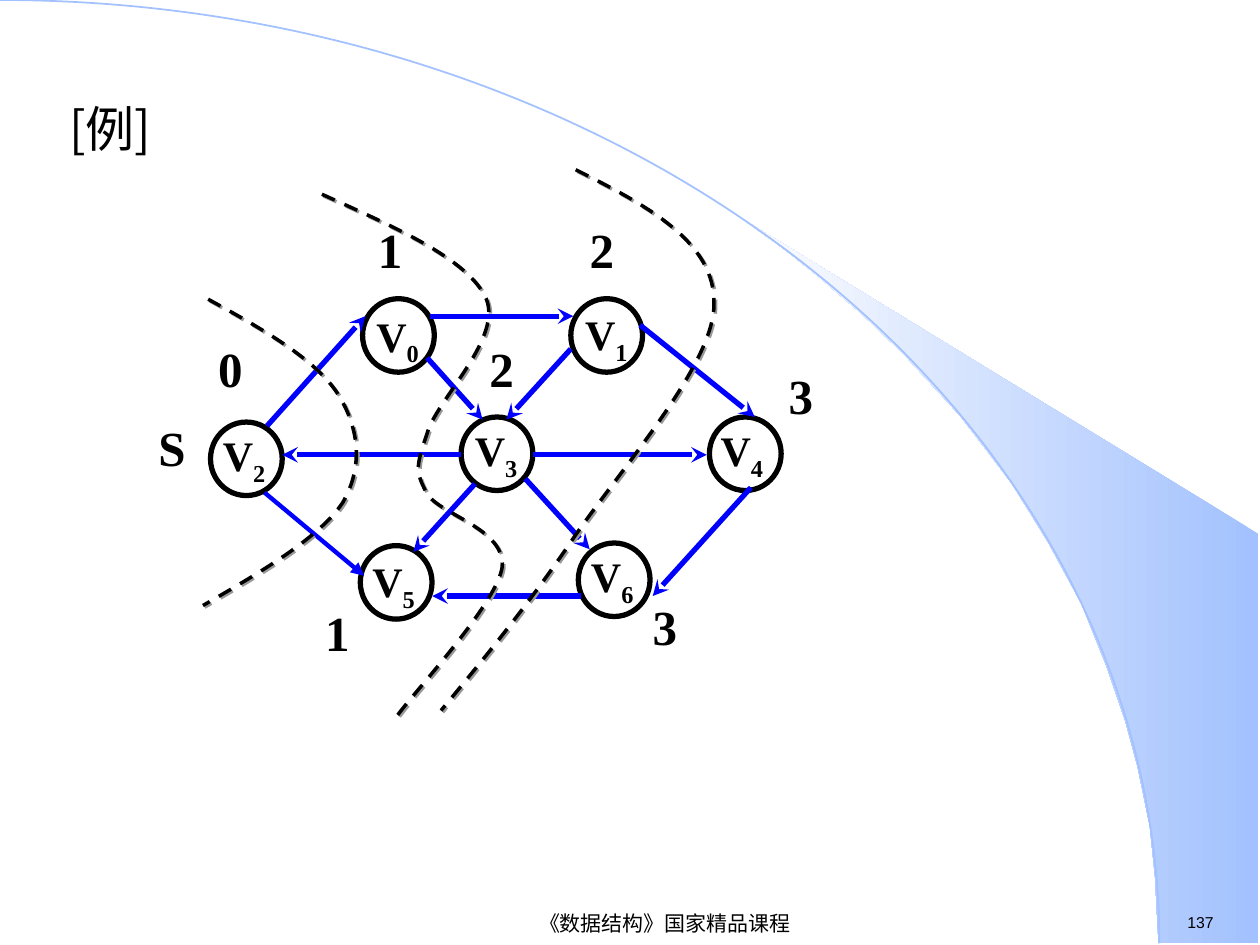
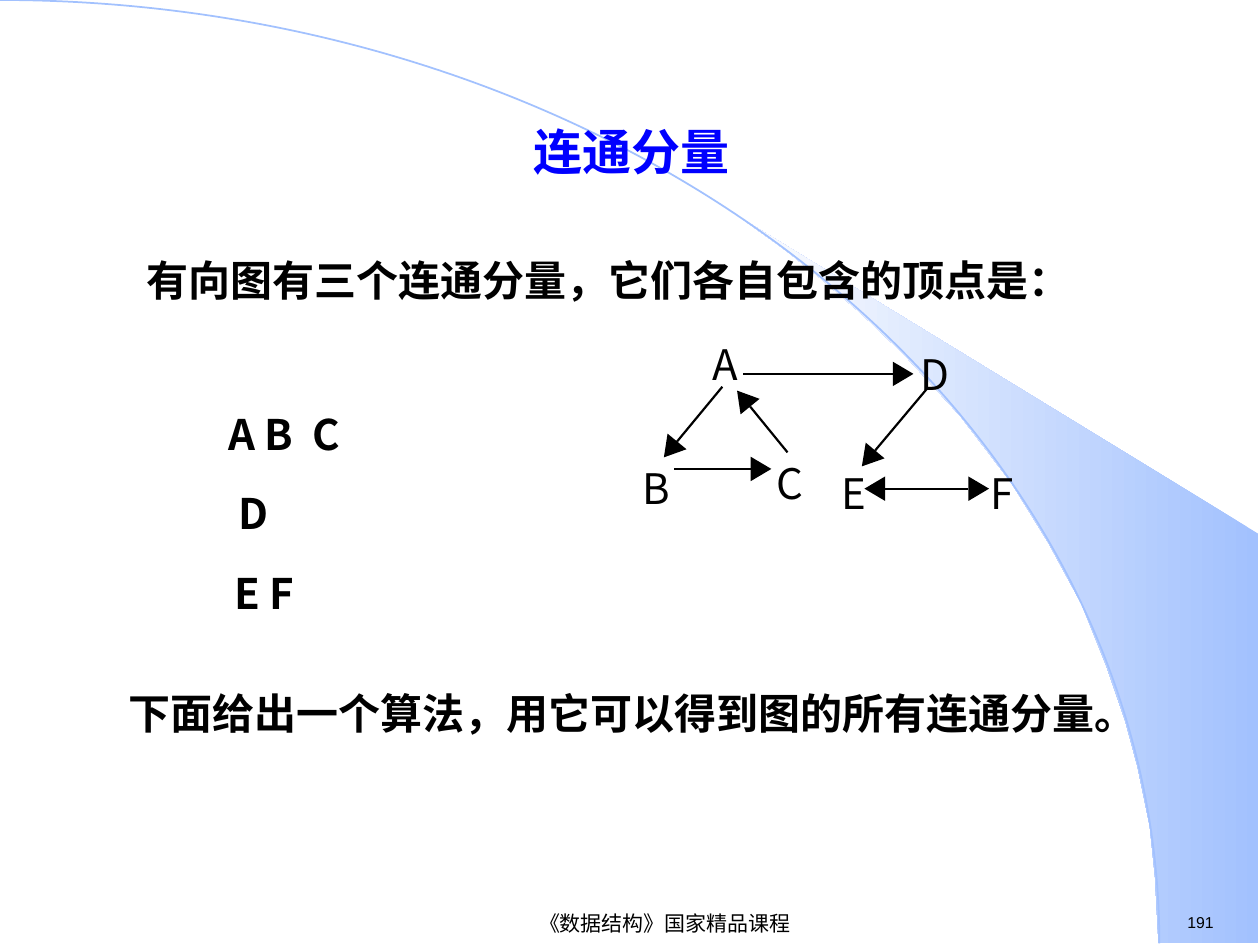
import math

import pptx
import pptx.dml.color
import pptx.enum.dml
import pptx.enum.shapes
import pptx.enum.text
import pptx.oxml.ns
import pptx.util
from lxml import etree

Pt = pptx.util.Pt
RGB = pptx.dml.color.RGBColor.from_string
ALIGN = pptx.enum.text.PP_ALIGN
ANCHOR = pptx.enum.text.MSO_ANCHOR
SHAPE = pptx.enum.shapes.MSO_SHAPE
qn = pptx.oxml.ns.qn

COLORS = {"ink": "000000", "blue": "0000FF", "sky": "A2C1FE",
          "pale": "FEFEFE", "shadow": "999999"}
CJK, TIMES, ARIAL = "Noto Sans CJK SC", "Times New Roman", "Arial"


def write(sp, text, size, font=CJK, bold=False, color="ink",
          align=ALIGN.LEFT, anchor=ANCHOR.TOP, sub=""):
    """Fill a shape with one line of text, with an optional subscript."""
    tf = sp.text_frame
    tf.auto_size = pptx.enum.text.MSO_AUTO_SIZE.NONE
    tf.word_wrap = True
    tf.margin_left = tf.margin_right = tf.margin_top = tf.margin_bottom = 0
    tf.vertical_anchor = anchor
    p = tf.paragraphs[0]
    p.alignment = align
    for part in filter(None, (text, sub)):
        r = p.add_run()
        r.text = part
        r.font.size = Pt(size)
        r.font.bold = bold
        r.font.name = font
        r.font.color.rgb = RGB(COLORS[color])
        rpr = r.font._element
        etree.SubElement(rpr, qn("a:ea")).set("typeface", CJK)
        if part is sub:
            rpr.set("baseline", "-25000")


def outline(slide, points, curved=False):
    """Add a closed polygon, or an open curve of cubic Bezier triples."""
    emu = [(Pt(x), Pt(y)) for x, y in points]
    fb = slide.shapes.build_freeform(*emu[0], scale=1.0)
    fb.add_line_segments(emu[1:], close=not curved)
    sp = fb.convert_to_shape()
    sp.shadow.inherit = False
    if not curved:
        sp.line.fill.background()
        return sp
    sp.fill.background()
    segments = list(sp.element.iter(qn("a:lnTo")))
    for i in range(0, len(segments), 3):
        first, *others = segments[i:i + 3]
        first.tag = qn("a:cubicBezTo")
        for segment in others:
            first.append(segment[0])
            segment.getparent().remove(segment)
    return sp


prs = pptx.Presentation()
prs.slide_width, prs.slide_height = Pt(720), Pt(540)
layout = prs.slide_layouts[5]
graph, parts = [prs.slides.add_slide(layout) for _ in range(2)]

# Shared backdrop and footer, moved to the layout
wedge = outline(graph, [
    (662, 539), (719, 539), (719, 305), (424, 125), (449, 143), (470, 160),
    (493, 180), (516, 202), (549, 238), (578, 276), (599, 310), (618, 345),
    (632, 380), (643, 412), (650, 438), (657, 472), (660, 501)])
wedge.fill.gradient()
wedge.fill.gradient_angle = 180
for stop, name in zip(wedge.fill.gradient_stops, ("sky", "pale")):
    stop.color.rgb = RGB(COLORS[name])
arc = graph.shapes.add_shape(SHAPE.ARC, Pt(-662.5), 0, Pt(1325), Pt(1078))
arc.shadow.inherit = False
arc.fill.background()
arc.line.color.rgb = RGB(COLORS["sky"])
arc.line.width = Pt(1)
footer = graph.shapes.add_textbox(Pt(173), Pt(519), Pt(414), Pt(17))
write(footer, "《数据结构》国家精品课程", 12, ARIAL,
      align=ALIGN.CENTER, anchor=ANCHOR.MIDDLE)
for sp in (wedge, arc, footer):
    layout.shapes.element.append(sp.element)

# Titles and page numbers
for slide, number, title, box, style in (
        (graph, "137", "[例]", (39.5, 53, 300, 40), {}),
        (parts, "191", "连通分量", (63.5, 59, 595, 54),
         {"font": TIMES, "bold": True, "color": "blue",
          "align": ALIGN.CENTER})):
    sp = slide.shapes.title
    sp.left, sp.top, sp.width, sp.height = map(Pt, box)
    write(sp, title, 28, anchor=ANCHOR.MIDDLE, **style)
    sp = slide.shapes.add_textbox(Pt(678.5), Pt(521.5), Pt(40), Pt(14))
    write(sp, number, 9, ARIAL)

# Graph vertices: index, circle corner, label corner
for index, x, y, label_x, label_y in (
        ("0", 207.2, 170.7, 215, 177.2), ("1", 326.2, 170.7, 334.3, 176.4),
        ("2", 120.3, 241.2, 127.4, 245.5), ("3", 263.5, 238.3, 271.4, 242.6),
        ("4", 405.4, 238.3, 411.8, 242.6), ("5", 205.9, 311.8, 212.8, 317.5),
        ("6", 330.5, 310.3, 337.7, 314.6)):
    sp = graph.shapes.add_shape(SHAPE.OVAL, Pt(x), Pt(y), Pt(41), Pt(42))
    sp.shadow.inherit = False
    sp.fill.background()
    sp.line.color.rgb = RGB(COLORS["ink"])
    sp.line.width = Pt(3)
    sp = graph.shapes.add_textbox(Pt(label_x), Pt(label_y), Pt(40), Pt(36))
    write(sp, "V", 24, TIMES, bold=True, sub=index)

# Distances from the start vertex S
for label, x, y in (("1", 185.8, 344.2), ("1", 216, 125.3),
                    ("2", 337, 125.3), ("2", 279.7, 193.7),
                    ("3", 373, 340.6), ("3", 450.7, 208.8),
                    ("0", 124.6, 193.7), ("S", 90.5, 238.3)):
    sp = graph.shapes.add_textbox(Pt(x), Pt(y), Pt(30), Pt(34))
    write(sp, label, 28, TIMES, bold=True)

# Edges: x1, y1, x2, y2
EDGES = [
    (152.6, 243.4, 208.8, 180.7), (245.5, 180.7, 327.6, 180.7),
    (365.8, 185.8, 431.3, 238.3), (429.1, 278.6, 373, 340.6),
    (331.9, 340.6, 247, 340.6), (263.5, 259.9, 161.3, 259.9),
    (304.6, 259.9, 403.9, 259.9), (244.1, 204.5, 275.8, 239.8),
    (326.2, 199.4, 289.4, 239.8), (271.4, 276.5, 236.2, 315.4),
    (300.2, 273.6, 337, 313.9)]
lines = [(graph, edge, "blue", 3, "stealth") for edge in EDGES]
lines.append((graph, (151.2, 281.5, 208.1, 329), "blue", 2.5, "triangle"))

# Sentences, components and node letters
for text, x, y, w, bold in (
        ("有向图有三个连通分量，它们各自包含的顶点是：", 83.5, 145.4, 560, True),
        ("A B\tC", 130.4, 233.3, 100, True),
        ("D", 136.2, 278.7, 30, True),
        ("E F", 134, 324, 50, True),
        ("下面给出一个算法，用它可以得到图的所有连通分量。", 73.5, 393, 610, True),
        ("A", 407, 193.7, 30, False), ("B", 367, 264.3, 30, False),
        ("C", 443.5, 261.4, 30, False), ("D", 526.2, 199.4, 30, False),
        ("E", 481, 267.1, 30, False), ("F", 566, 267.1, 30, False)):
    sp = parts.shapes.add_textbox(Pt(x), Pt(y), Pt(w), Pt(29))
    if "\t" in text:
        pPr = sp.text_frame.paragraphs[0]._p.get_or_add_pPr()
        tabs = etree.SubElement(pPr, qn("a:tabLst"))
        etree.SubElement(tabs, qn("a:tab"), pos=str(Pt(48)), algn="l")
    write(sp, text, 24, bold=bold)

# Arrows of the component graph, with large solid heads
HEAD, HALF = 11.8, 7
for x1, y1, x2, y2, both in (
        (424.8, 213.7, 522, 213.7, False), (412.8, 221, 379.4, 261.4, False),
        (385.2, 268, 440.8, 268, False), (450, 258.5, 421.2, 223.2, False),
        (530, 221.8, 492.5, 266.5, False), (494, 279.3, 565.2, 279.3, True)):
    length = math.hypot(x2 - x1, y2 - y1)
    ux, uy = (x2 - x1) / length, (y2 - y1) / length
    tips = [(x2, y2, 1)] + ([(x1, y1, -1)] if both else [])
    for x, y, way in tips:
        bx, by = x - way * HEAD * ux, y - way * HEAD * uy
        sp = outline(parts, [(x, y), (bx - HALF * uy, by + HALF * ux),
                             (bx + HALF * uy, by - HALF * ux)])
        sp.fill.solid()
        sp.fill.fore_color.rgb = RGB(COLORS["ink"])
    gap = HEAD if both else 0
    shaft = (x1 + gap * ux, y1 + gap * uy, x2 - HEAD * ux, y2 - HEAD * uy)
    lines.append((parts, shaft, "ink", 1.25, None))

# All straight lines
for slide, ends, color, width, tail in lines:
    c = slide.shapes.add_connector(pptx.enum.shapes.MSO_CONNECTOR.STRAIGHT,
                                   *map(Pt, ends))
    c.line.color.rgb = RGB(COLORS[color])
    c.line.width = Pt(width)
    spPr = c.element.spPr
    if tail:
        etree.SubElement(spPr.find(qn("a:ln")), qn("a:tailEnd"), type=tail)
    etree.SubElement(spPr, qn("a:effectLst"))

# Dashed boundaries between the distance levels
for knots in (
        [(119, 171), (150, 188), (180, 205), (193, 225), (205, 244),
         (208, 266), (196, 287), (183, 307), (149, 327), (116, 346)],
        [(184, 111), (226, 130), (268, 148), (278, 171), (287, 194),
         (249, 229), (244, 248), (238, 266), (237, 269), (244, 282),
         (251, 294), (289, 302), (287, 324), (284, 345), (237, 395),
         (227, 409)],
        [(329, 97), (369, 117), (409, 138), (408, 174), (408, 209),
         (352, 271), (326, 310), (300, 348), (276, 377), (252, 406)]):
    sp = outline(graph, knots, curved=True)
    sp.line.color.rgb = RGB(COLORS["ink"])
    sp.line.width = Pt(2)
    sp.line.dash_style = pptx.enum.dml.MSO_LINE.DASH
    effects = sp.element.spPr.find(qn("a:effectLst"))
    shadow = etree.SubElement(effects, qn("a:outerShdw"),
                              dist=str(Pt(1.4)), dir="2700000")
    etree.SubElement(shadow, qn("a:srgbClr"), val=COLORS["shadow"])

prs.save("out.pptx")
